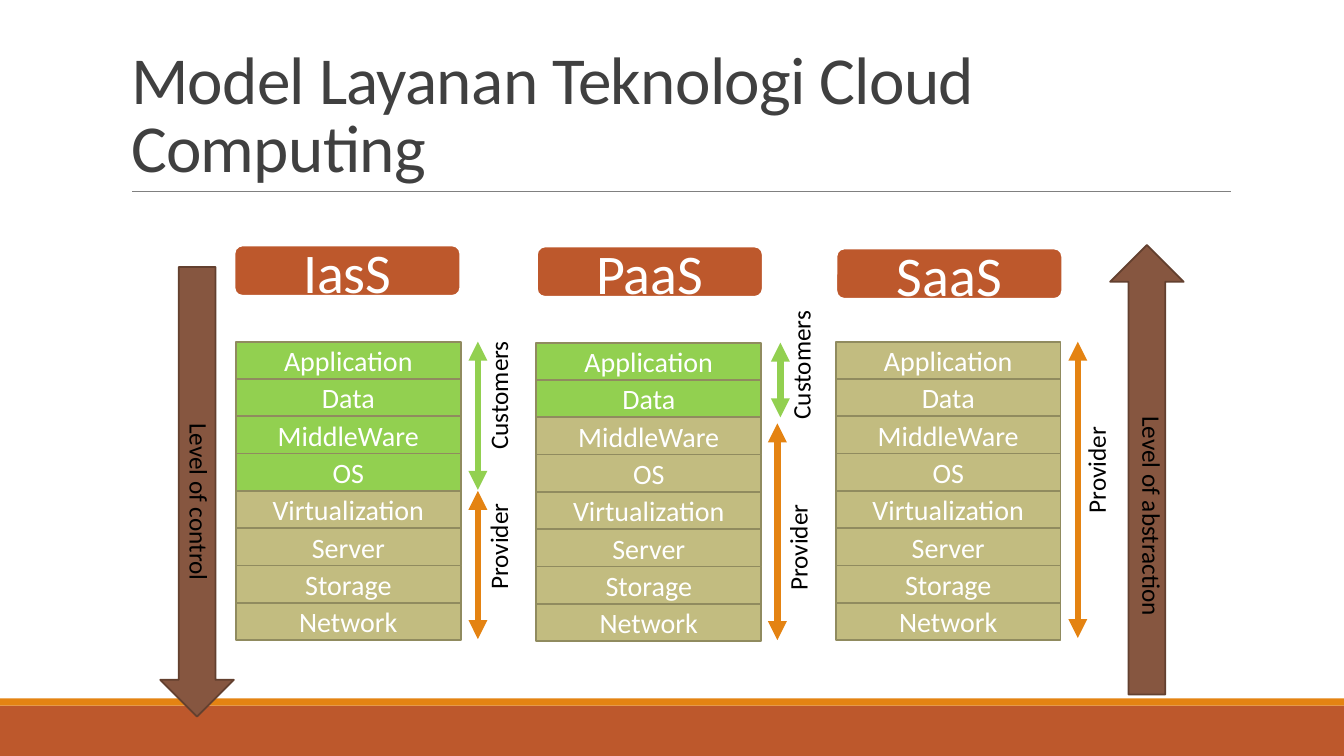
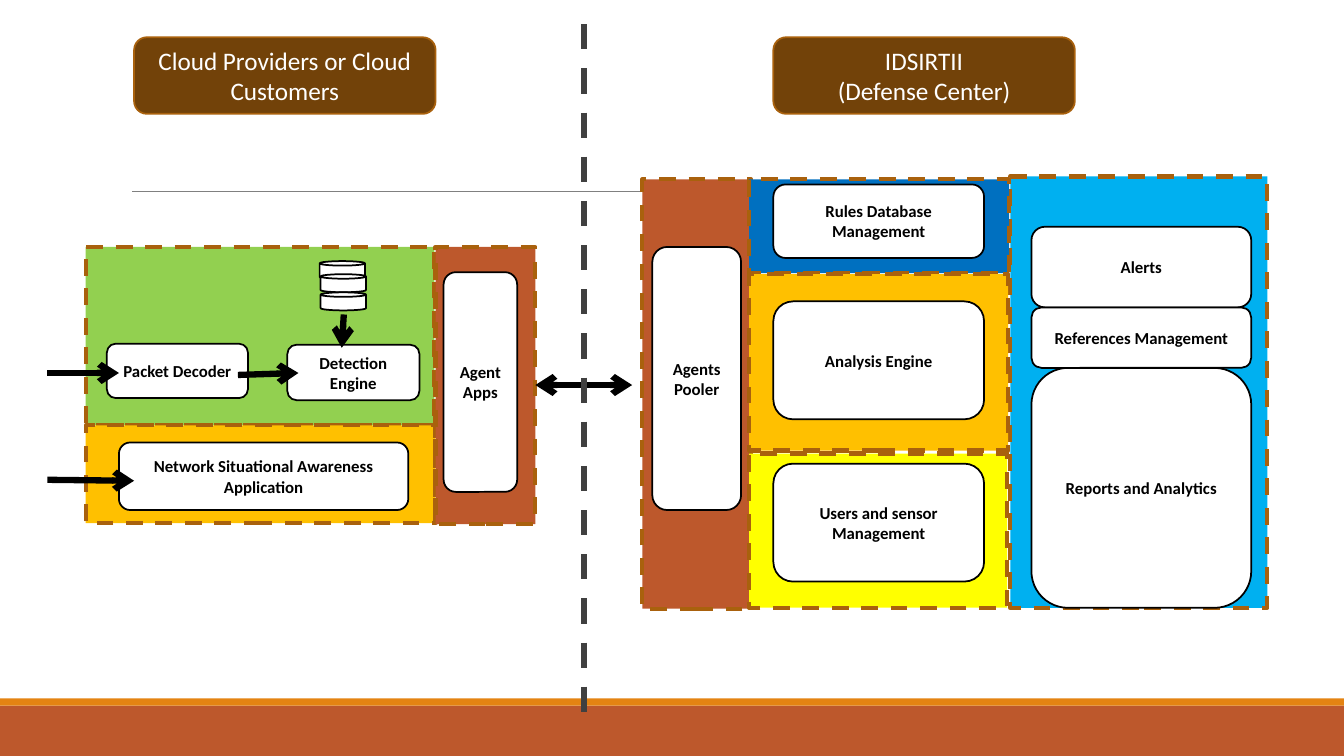
"""Build two slides on cloud service models and a defence centre layout."""
from typing import NamedTuple

from lxml import etree
from pptx import Presentation
from pptx import util as u
from pptx.dml.color import RGBColor
from pptx.enum import dml, shapes, text
from pptx.oxml.ns import qn

RUST, ORANGE, GREEN, KHAKI = "BD582C", "E48312", "92D050", "C2BC80"
OLIVE, BROWN, DARK_BROWN, AMBER = "908B5F", "865640", "63402F", "A9610D"
GOLD, BLACK, WHITE, GREY = "FFC000", "000000", "FFFFFF", "404040"
FONT = "Calibri"
RECT = shapes.MSO_SHAPE.RECTANGLE
ROUND = shapes.MSO_SHAPE.ROUNDED_RECTANGLE
DOWN = shapes.MSO_SHAPE.DOWN_ARROW
CAN = shapes.MSO_SHAPE.CAN
LAYERS = ("Application", "Data", "MiddleWare", "OS",
          "Virtualization", "Server", "Storage", "Network")
LAYER_W, LAYER_H = 2.23, 0.37


class Box(NamedTuple):
    """Place of a shape in inches."""
    x: float
    y: float
    w: float
    h: float


class Style(NamedTuple):
    """Look of a shape and its text."""
    kind: int
    fill: str
    line: str | None = None
    width: float = 1.25
    size: float = 12
    color: str = BLACK
    bold: bool = False
    dashed: bool = False


class Span(NamedTuple):
    """Double arrow with a sideways label that ends at label_bottom."""
    x: float
    top: float
    bottom: float
    color: str
    label: str
    label_x: float
    label_bottom: float


class Model(NamedTuple):
    """Service model with its stack of layers."""
    name: str
    x: float
    top: float
    header: Box
    customer_layers: int
    spans: tuple[Span, ...]


class Arrow(NamedTuple):
    """Straight line between two points."""
    x1: float
    y1: float
    x2: float
    y2: float
    head: str | None = None
    tail: str | None = "arrow"


LAYER = Style(RECT, KHAKI, OLIVE, size=20, color=WHITE)
MODEL_HEADER = Style(ROUND, RUST, WHITE, 2, 40, WHITE)
LEVEL = Style(DOWN, BROWN, DARK_BROWN)
PANEL = Style(RECT, RUST, AMBER, 3, dashed=True)
MODULE = Style(ROUND, WHITE, BLACK, bold=True)
DISK = Style(CAN, WHITE, BLACK)
SIDE_HEADER = Style(ROUND, "724209", AMBER, size=18, color=WHITE)

MODELS = (
    Model("IasS", 2.34, 3.39, Box(2.32, 2.43, 2.25, 0.51), 4, (
        Span(4.74, 4.87, 6.34, ORANGE, "Provider", 4.74, 5.95),
        Span(4.74, 3.39, 4.86, GREEN, "Customers", 4.74, 4.56))),
    Model("PaaS", 5.32, 3.4, Box(5.32, 2.44, 2.25, 0.51), 2, (
        Span(7.71, 4.2, 6.35, ORANGE, "Provider", 7.71, 5.96),
        Span(7.74, 3.4, 4.14, GREEN, "Customers", 7.74, 4.26))),
    Model("SaaS", 8.29, 3.39, Box(8.29, 2.46, 2.25, 0.51), 0, (
        Span(10.69, 3.39, 6.33, ORANGE, "Provider", 10.67, 5.19),)),
)
LABEL_LENGTHS = {"Customers": 0.87, "Provider": 0.7}

PANELS = (
    (RUST, Box(6.37, 1.78, 1.08, 4.26)),
    (GREEN, Box(0.85, 2.45, 3.46, 1.77)),
    ("00B0F0", Box(10.02, 1.75, 2.55, 4.28)),
    (GOLD, Box(0.85, 4.22, 3.47, 0.97)),
    ("FFFF00", Box(7.43, 4.5, 2.56, 1.53)),
    ("0070C0", Box(7.43, 1.78, 2.58, 0.93)),
    (GOLD, Box(7.43, 2.72, 2.57, 1.75)),
    (RUST, Box(4.32, 2.45, 0.99, 2.75)),
)
MODULES = (
    ("Packet Decoder", Box(1.06, 3.41, 1.4, 0.54)),
    ("Detection\nEngine", Box(2.85, 3.42, 1.31, 0.55)),
    ("Network Situational Awareness Application", Box(1.18, 4.39, 2.87, 0.67)),
    ("Alerts", Box(10.23, 2.25, 2.18, 0.8)),
    ("Reports and Analytics", Box(10.23, 3.65, 2.18, 2.38)),
    ("References Management", Box(10.23, 3.05, 2.18, 0.6)),
    ("Rules Database Management", Box(7.67, 1.83, 2.09, 0.73)),
    ("Users and sensor Management", Box(7.67, 4.6, 2.09, 1.17)),
    ("Agents Pooler", Box(6.47, 2.45, 0.88, 2.61)),
    ("Analysis Engine", Box(7.67, 2.99, 2.09, 1.17)),
    ("Agent\nApps", Box(4.4, 2.7, 0.73, 2.18)),
)
DISKS = (Box(3.17, 2.59, 0.45, 0.18), Box(3.18, 2.72, 0.45, 0.18),
         Box(3.18, 2.9, 0.45, 0.18))
FLOWS = (
    Arrow(2.36, 3.72, 2.96, 3.7),
    Arrow(3.41, 3.12, 3.39, 3.45),
    Arrow(0.47, 3.7, 1.18, 3.7),
    Arrow(0.47, 4.76, 1.33, 4.77),
    Arrow(5.31, 3.82, 6.27, 3.82, "arrow"),
)
SIDE_HEADERS = (
    ("Cloud Providers or Cloud Customers", Box(1.33, 0.37, 2.99, 0.76)),
    ("IDSIRTII\n(Defense Center)", Box(7.67, 0.37, 2.99, 0.76)),
)


def rgb(value: str) -> RGBColor:
    """Turn a hex string into a colour."""
    return RGBColor.from_string(value)


def inches(values) -> list:
    """Turn numbers into lengths."""
    return [u.Inches(v) for v in values]


def write(tf, content: str, size: float, color: str, bold: bool = False,
          align=text.PP_ALIGN.LEFT) -> None:
    """Fill a text frame with one formatted paragraph for each line."""
    for i, line in enumerate(content.split("\n")):
        p = tf.add_paragraph() if i else tf.paragraphs[0]
        p.alignment = align
        r = p.add_run()
        r.text = line
        for name, value in {"name": FONT, "size": u.Pt(size), "bold": bold}.items():
            setattr(r.font, name, value)
        r.font.color.rgb = rgb(color)


def add_box(slide, box: Box, style: Style, content: str = ""):
    """Draw a preset shape with centred text."""
    sp = slide.shapes.add_shape(style.kind, *inches(box))
    sp.shadow.inherit = False
    sp.fill.solid()
    sp.fill.fore_color.rgb = rgb(style.fill)
    if style.line:
        sp.line.color.rgb = rgb(style.line)
        sp.line.width = u.Pt(style.width)
    else:
        sp.line.fill.background()
    if style.dashed:
        sp.line.dash_style = dml.MSO_LINE.DASH
    if content:
        sp.text_frame.vertical_anchor = text.MSO_ANCHOR.MIDDLE
        write(sp.text_frame, content, style.size, style.color, style.bold,
              text.PP_ALIGN.CENTER)
    return sp


def add_line(slide, arrow: Arrow, color: str, width: float = 4.5,
             dashed: bool = False) -> None:
    """Draw a straight connector with optional arrowheads."""
    points = inches((arrow.x1, arrow.y1, arrow.x2, arrow.y2))
    sp = slide.shapes.add_connector(shapes.MSO_CONNECTOR.STRAIGHT, *points)
    sp.line.color.rgb = rgb(color)
    sp.line.width = u.Pt(width)
    if dashed:
        sp.line.dash_style = dml.MSO_LINE.DASH
    props = sp.element.spPr
    ln = props.find(qn("a:ln"))
    for tag, kind in (("a:headEnd", arrow.head), ("a:tailEnd", arrow.tail)):
        if kind:
            etree.SubElement(ln, qn(tag), type=kind)
    etree.SubElement(props, qn("a:effectLst"))


def add_sideways(slide, box: Box, content: str, rotation: float = 0) -> None:
    """Write a label that runs down, or up when turned over."""
    sp = slide.shapes.add_textbox(*inches(box))
    sp.rotation = rotation
    tf = sp.text_frame
    for name, value in {"word_wrap": False,
                        "auto_size": text.MSO_AUTO_SIZE.SHAPE_TO_FIT_TEXT}.items():
        setattr(tf, name, value)
    sp.element.txBody.bodyPr.set("vert", "eaVert")
    write(tf, content, 18, BLACK)


def add_slide(prs, layout: int):
    """Add a slide with the footer bands and the title rule."""
    slide = prs.slides.add_slide(prs.slide_layouts[layout])
    add_box(slide, Box(0, 7, 13.33, 0.5), Style(RECT, RUST))
    add_box(slide, Box(0, 6.93, 13.33, 0.07), Style(RECT, ORANGE))
    add_line(slide, Arrow(1.31, 1.9, 12.21, 1.9, tail=None), "808080", 0.5)
    return slide


def set_title(slide, content: str) -> None:
    """Move and format the title placeholder."""
    sp = slide.shapes.title
    for name, value in zip(("left", "top", "width", "height"),
                           inches((1.2, 0.31, 11.58, 1.59))):
        setattr(sp, name, value)
    tf = sp.text_frame
    for name, value in {"word_wrap": True, "auto_size": text.MSO_AUTO_SIZE.NONE,
                        "vertical_anchor": text.MSO_ANCHOR.BOTTOM}.items():
        setattr(tf, name, value)
    write(tf, content, 48, GREY)
    p = tf.paragraphs[0]
    p.line_spacing = 0.85
    p.runs[0].font._element.set("spc", "-50")


def add_model(slide, model: Model) -> None:
    """Draw a service model: header, layers and responsibility arrows."""
    for i, layer in enumerate(LAYERS):
        fill = GREEN if i < model.customer_layers else KHAKI
        box = Box(model.x, model.top + i * LAYER_H, LAYER_W, LAYER_H)
        add_box(slide, box, LAYER._replace(fill=fill), layer)
    for span in model.spans:
        ends = Arrow(span.x, span.top, span.x, span.bottom, "triangle", "triangle")
        add_line(slide, ends, span.color)
        length = LABEL_LENGTHS[span.label]
        box = Box(span.label_x, span.label_bottom - length, 0.41, length)
        add_sideways(slide, box, span.label, 180)
    add_box(slide, model.header, MODEL_HEADER, model.name)


def build_models(prs) -> None:
    """Build the slide that compares the service models."""
    slide = add_slide(prs, 5)
    set_title(slide, "Model Layanan Teknologi Cloud Computing")
    for model in MODELS:
        add_model(slide, model)
    add_box(slide, Box(1.59, 2.65, 0.73, 4.46), LEVEL)
    add_box(slide, Box(11.01, 2.43, 0.73, 4.46), LEVEL).rotation = 180
    add_sideways(slide, Box(1.77, 4.1, 0.41, 1.23), "Level of control")
    add_sideways(slide, Box(11.22, 4.03, 0.41, 1.53), "Level of abstraction")


def build_defense(prs) -> None:
    """Build the slide with the provider side and the defence centre."""
    slide = add_slide(prs, 6)
    for fill, box in PANELS:
        add_box(slide, box, PANEL._replace(fill=fill))
    for name, box in MODULES:
        add_box(slide, box, MODULE, name)
    for box in DISKS:
        add_box(slide, box, DISK)
    for flow in FLOWS:
        add_line(slide, flow, BLACK)
    add_line(slide, Arrow(5.79, 0.24, 5.79, 7.22, tail=None), GREY, dashed=True)
    for name, box in SIDE_HEADERS:
        add_box(slide, box, SIDE_HEADER, name)


def main() -> None:
    """Build and save the presentation."""
    prs = Presentation()
    prs.slide_width, prs.slide_height = inches((13.33, 7.5))
    build_models(prs)
    build_defense(prs)
    prs.save("out.pptx")


if __name__ == "__main__":
    main()
